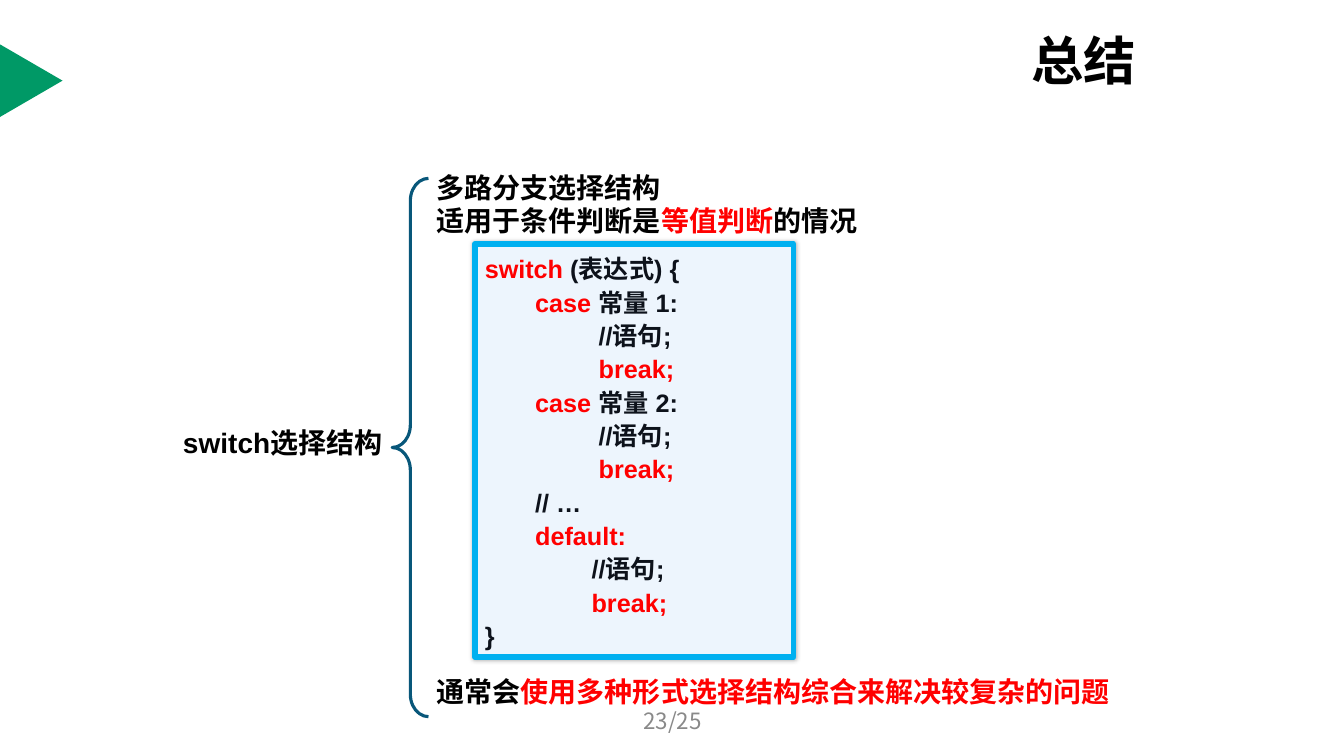
from lxml.etree import SubElement
from pptx import Presentation
from pptx.dml.color import RGBColor
from pptx.enum.shapes import MSO_SHAPE as Preset
from pptx.enum.text import MSO_ANCHOR as Anchor, MSO_AUTO_SIZE as AutoSize, PP_ALIGN as Align
from pptx.oxml.ns import qn
from pptx.util import Inches, Pt

COLORS = {
    "green": "009966", "black": "000000", "red": "FF0000", "ink": "0D121B",
    "brace": "08577A", "panel": "EDF5FD", "border": "00B0F0", "gray": "898989",
}
CJK_FONT = "Noto Sans CJK SC"
LATIN_FONT = "Arial"

POINTS = [
    [("多路分支选择结构", "black")],
    [("适用于条件判断是", "black"), ("等值判断", "red"), ("的情况", "black")],
    [("通常会", "black"), ("使用多种形式选择结构综合来解决较复杂的问题", "red")],
]
CODE_GAP = Pt(312)  # room for the code panel above the last point

OUTER, CASE, BODY, DEFAULT_BODY = 0, 0.5, 1.13, 1.06


def case_lines(number):
    return [
        (CASE, [("case ", "red"), (f"常量 {number}:", "ink")]),
        (BODY, [("//语句;", "ink")]),
        (BODY, [("break;", "red")]),
    ]


CODE = [
    (OUTER, [("switch", "red"), (" (表达式) {", "ink")]),
    *case_lines(1),
    *case_lines(2),
    (CASE, [("// …", "ink")]),
    (CASE, [("default:", "red")]),
    (DEFAULT_BODY, [("//语句;", "ink")]),
    (DEFAULT_BODY, [("break;", "red")]),
    (OUTER, [("}", "ink")]),
]


def color(name):
    return RGBColor.from_string(COLORS[name])


def apply(target, formats):
    for name, value in formats.items():
        setattr(target, name, value)


class SlideBuilder:
    def __init__(self, presentation):
        self.slide = presentation.slides.add_slide(presentation.slide_layouts[1])

    def place(self, shape, box):
        apply(shape, dict(zip(("left", "top", "width", "height"), map(Inches, box))))

    def add_runs(self, paragraph, runs, size, font=LATIN_FONT, bold=True, **formats):
        """Fill a paragraph with (text, colour name) runs."""
        apply(paragraph, formats)
        for text, color_name in runs:
            run = paragraph.add_run()
            run.text = text
            apply(run.font, {"size": Pt(size), "name": font, "bold": bold})
            run.font.color.rgb = color(color_name)
            SubElement(run._r.get_or_add_rPr(), qn("a:ea"), typeface=font)

    def paragraphs(self, frame, count):
        return [frame.paragraphs[0]] + [frame.add_paragraph() for _ in range(count - 1)]

    def indent(self, paragraph, inches):
        properties = paragraph._p.get_or_add_pPr()
        properties.set("marL", str(Inches(inches)))
        properties.set("indent", "0")
        return properties

    def title(self, text, box):
        title = self.slide.shapes.title
        self.place(title, box)
        apply(title.text_frame, {"vertical_anchor": Anchor.MIDDLE, "auto_size": AutoSize.NONE})
        self.add_runs(title.text_frame.paragraphs[0], [(text, "black")], 37.4, CJK_FONT,
                      alignment=Align.LEFT)

    def points(self, points, box):
        body = self.slide.placeholders[1]
        self.place(body, box)
        frame = body.text_frame
        apply(frame, {"vertical_anchor": Anchor.TOP, "auto_size": AutoSize.NONE})
        for paragraph, runs in zip(self.paragraphs(frame, len(points)), points):
            self.add_runs(paragraph, runs, 20, line_spacing=Pt(24),
                          space_before=CODE_GAP if runs is points[-1] else Pt(0))
            SubElement(self.indent(paragraph, 0), qn("a:buNone"))

    def label(self, text, box, size, color_name="black", **formats):
        frame = self.slide.shapes.add_textbox(*map(Inches, box)).text_frame
        apply(frame, {"word_wrap": True, "vertical_anchor": Anchor.MIDDLE,
                      "margin_left": 0, "margin_right": 0})
        self.add_runs(frame.paragraphs[0], [(text, color_name)], size,
                      alignment=Align.CENTER, **formats)

    def shape(self, preset, box, fill=None, line=None, width=0, adjustment=None):
        shape = self.slide.shapes.add_shape(preset, *map(Inches, box))
        shape.shadow.inherit = False
        if fill:
            shape.fill.solid()
            shape.fill.fore_color.rgb = color(fill)
        else:
            shape.fill.background()
        if line:
            shape.line.color.rgb = color(line)
            shape.line.width = Pt(width)
        else:
            shape.line.fill.background()
        if adjustment is not None:
            shape.adjustments[0] = adjustment
        return shape

    def soft_shadow(self, shape):
        effects = shape._element.spPr.find(qn("a:effectLst"))
        shadow = SubElement(effects, qn("a:outerShdw"), blurRad=str(Pt(3)), dist="0",
                            dir="0", algn="ctr", rotWithShape="0")
        shade = SubElement(shadow, qn("a:srgbClr"), val=COLORS["black"])
        SubElement(shade, qn("a:alpha"), val="25000")

    def code(self, lines, box):
        panel = self.shape(Preset.ROUNDED_RECTANGLE, box, "panel", "border", 4, 0)
        self.soft_shadow(panel)
        frame = panel.text_frame
        apply(frame, {"word_wrap": True, "vertical_anchor": Anchor.MIDDLE})
        for paragraph, (inches, runs) in zip(self.paragraphs(frame, len(lines)), lines):
            self.add_runs(paragraph, runs, 18, alignment=Align.LEFT, line_spacing=Pt(23.8))
            self.indent(paragraph, inches)


def main():
    presentation = Presentation()
    apply(presentation, {"slide_width": Inches(13.33), "slide_height": Inches(7.5)})
    builder = SlideBuilder(presentation)
    marker = builder.shape(Preset.ISOSCELES_TRIANGLE, (-0.05, 0.49, 0.72, 0.62), "green")
    marker.rotation = 90
    builder.title("总结", (10.13, 0.31, 1.34, 0.57))
    builder.points(POINTS, (4.23, 1.64, 7.13, 5.49))
    builder.label("switch选择结构", (1.67, 4.17, 2.27, 0.44), 20)
    builder.shape(Preset.LEFT_BRACE, (3.89, 1.77, 0.36, 5.34), line="brace", width=2.25,
                  adjustment=0.62)
    builder.code(CODE, (4.71, 2.42, 3.16, 4.1))
    builder.label("23/25", (4.56, 6.95, 4.22, 0.4), 16, "gray", font=CJK_FONT, bold=False)
    presentation.save("out.pptx")


if __name__ == "__main__":
    main()
